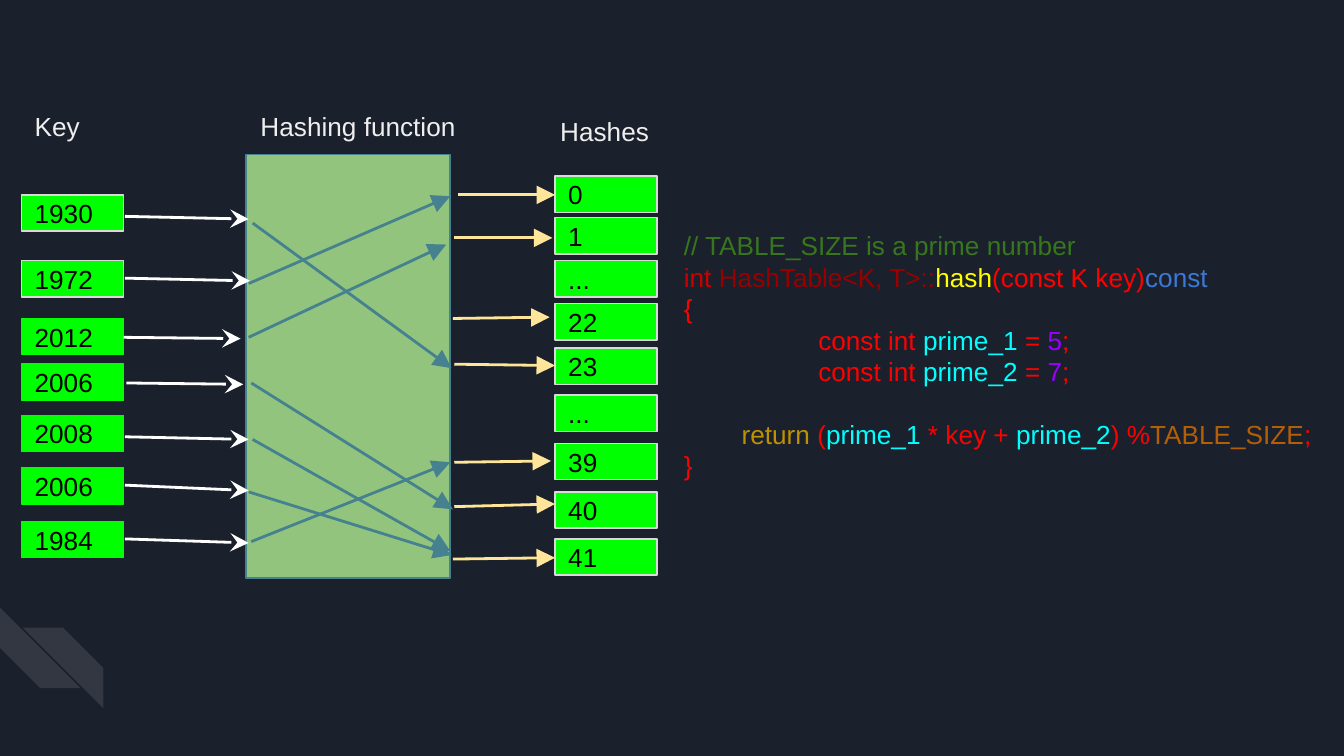
from lxml.etree import SubElement
from pptx import Presentation
from pptx.dml.color import RGBColor
from pptx.enum.shapes import MSO_CONNECTOR, MSO_SHAPE
from pptx.enum.text import MSO_ANCHOR, PP_ALIGN
from pptx.oxml.ns import qn
from pptx.util import Inches, Pt

DARK, WHITE, PALE, GREY = "1B212C", "FFFFFF", "EFEFEF", "D9D9D9"
GREEN, LEAF, TEAL, SAND = "00FF00", "93C47D", "45818E", "FFE599"
BRIGHT_RED, CYAN, PURPLE = "FF0000", "00FFFF", "9900FF"
CELL_WIDTH, CELL_HEIGHT = 0.76, 0.27

# (offset from the column top, label, border colour)
KEYS = [(0, "1930", GREY), (0.49, "1972", GREY), (0.92, "2012", GREEN),
        (1.26, "2006", GREEN), (1.64, "2008", GREEN), (2.03, "2006", GREEN),
        (2.43, "1984", GREEN)]
HASHES = [(0, "0", GREY), (0.31, "1", GREY), (0.63, "...", GREY),
          (0.95, "22", GREY), (1.28, "23", GREY), (1.63, "...", GREY),
          (1.99, "39", GREY), (2.35, "40", GREY), (2.70, "41", GREY)]

# (start x, start y, end x, end y) from the corner of the column or function box
KEY_ARROWS = [(0.77, 0.16, 1.69, 0.18), (0.77, 0.62, 1.70, 0.64),
              (0.76, 1.06, 1.63, 1.07), (0.78, 1.40, 1.65, 1.41),
              (0.77, 1.80, 1.69, 1.82), (0.77, 2.16, 1.69, 2.20),
              (0.77, 2.56, 1.69, 2.59)]
MAPPING_ARROWS = [(0.05, 0.51, 1.53, 1.59), (0.02, 0.96, 1.52, 0.31),
                  (0.02, 1.36, 1.49, 0.67), (0.04, 1.70, 1.54, 2.64),
                  (0.05, 2.12, 1.52, 2.95), (0.02, 2.51, 1.53, 2.98),
                  (0.04, 2.88, 1.52, 2.29)]
HASH_ARROWS = [(-0.72, 0.14, 0, 0.14), (-0.75, 0.46, -0.02, 0.46),
               (-0.76, 1.06, -0.04, 1.05), (-0.75, 1.40, 0, 1.41),
               (-0.75, 2.13, -0.03, 2.12), (-0.75, 2.46, 0, 2.44),
               (-0.76, 2.85, 0, 2.84)]


def prime_line(name, value):
    return 1, [("const int ", BRIGHT_RED), (f"{name} ", CYAN), ("= ", BRIGHT_RED),
               (value, PURPLE), (";", BRIGHT_RED)]


# (indent, runs) for each line of code
CODE = [
    (0, [("// TABLE_SIZE is a prime number", "38761D")]),
    (0, [("int ", "CC0000"), ("HashTable<K, T>::", "980000"), ("hash", "FFFF00"),
         ("(const K key)", BRIGHT_RED), ("const", "3C78D8")]),
    (0, [("{", BRIGHT_RED)]),
    prime_line("prime_1", "5"),
    prime_line("prime_2", "7"),
    (0.43, [("return ", "BF9000"), ("(", BRIGHT_RED), ("prime_1", CYAN),
            (" * key + ", BRIGHT_RED), ("prime_2", CYAN), (") %", BRIGHT_RED),
            ("TABLE_SIZE", "B45F06"), (";", BRIGHT_RED)]),
    (0, [("}", BRIGHT_RED)]),
]
RETURN_LINE = 5


def color(value):
    return RGBColor.from_string(value)


def prepare_frame(shape, anchor=MSO_ANCHOR.TOP):
    frame = shape.text_frame
    frame.word_wrap = True
    frame.vertical_anchor = anchor
    frame.margin_left = frame.margin_right = Inches(0.1)
    frame.margin_top = frame.margin_bottom = Inches(0.1)
    return frame


def add_run(paragraph, text, text_color):
    run = paragraph.add_run()
    run.text = text
    run.font.size = Pt(14)
    run.font.name = "Arial"
    run.font.color.rgb = color(text_color)


def add_box(slide, left, top, width, height, fill, border=None, kind=MSO_SHAPE.RECTANGLE):
    shape = slide.shapes.add_shape(
        kind, Inches(left), Inches(top), Inches(width), Inches(height))
    shape.shadow.inherit = False
    shape.fill.solid()
    shape.fill.fore_color.rgb = color(fill)
    if border:
        shape.line.color.rgb = color(border)
        shape.line.width = Pt(0.75)
    else:
        shape.line.fill.background()
    return shape


def add_title(slide, left, top, text):
    box = slide.shapes.add_textbox(Inches(left), Inches(top), Inches(2.57), Inches(0.41))
    add_run(prepare_frame(box).paragraphs[0], text, PALE)


def add_arrows(slide, left, top, arrows, line_color, head):
    for x1, y1, x2, y2 in arrows:
        arrow = slide.shapes.add_connector(
            MSO_CONNECTOR.STRAIGHT, Inches(left + x1), Inches(top + y1),
            Inches(left + x2), Inches(top + y2))
        arrow.line.color.rgb = color(line_color)
        arrow.line.width = Pt(1.5)
        SubElement(arrow.line._get_or_add_ln(), qn("a:tailEnd"),
                   type=head, w="lg", len="lg")
        SubElement(arrow._element.spPr, qn("a:effectLst"))


def add_column(slide, left, top, cells):
    for offset, label, border in cells:
        cell = add_box(slide, left, top + offset, CELL_WIDTH, CELL_HEIGHT, GREEN, border)
        paragraph = prepare_frame(cell, MSO_ANCHOR.MIDDLE).paragraphs[0]
        paragraph.alignment = PP_ALIGN.LEFT
        add_run(paragraph, label, "000000")


def add_code(slide, left, top, width, height):
    box = slide.shapes.add_textbox(Inches(left), Inches(top), Inches(width), Inches(height))
    frame = prepare_frame(box)
    for number, (indent, runs) in enumerate(CODE):
        paragraph = frame.add_paragraph() if number else frame.paragraphs[0]
        if number == RETURN_LINE:
            paragraph.space_before = Pt(16.8)
        if indent:
            properties = paragraph._p.get_or_add_pPr()
            properties.set("marL", str(Inches(indent)))
            properties.set("indent", "0")
        for text, text_color in runs:
            add_run(paragraph, text, text_color)


def add_corner_stripes(slide, left, top):
    stripes = [add_box(slide, left + x, top + y, 0.6, 0.6, WHITE, kind=MSO_SHAPE.DIAGONAL_STRIPE)
               for x, y in [(0, 0), (0.17, 0.15)]]
    for stripe in stripes:
        fill_color = stripe._element.spPr.find(qn("a:solidFill"))[0]
        SubElement(fill_color, qn("a:alpha"), val="10000")
    stripes[0].rotation = 270
    stripes[1]._element.spPr.find(qn("a:xfrm")).set("flipH", "1")


def main():
    presentation = Presentation()
    presentation.slide_width = Inches(10)
    presentation.slide_height = presentation.slide_width * 9 // 16
    slide = presentation.slides.add_slide(presentation.slide_layouts[6])
    slide.background.fill.solid()
    slide.background.fill.fore_color.rgb = color(DARK)

    add_corner_stripes(slide, 0, 4.52)
    add_code(slide, 4.99, 1.61, 4.96, 2.24)

    add_box(slide, 1.83, 1.15, 1.52, 3.15, LEAF, TEAL)
    add_column(slide, 0.16, 1.45, KEYS)
    add_column(slide, 4.13, 1.31, HASHES)

    add_arrows(slide, 0.16, 1.45, KEY_ARROWS, WHITE, "stealth")
    add_arrows(slide, 1.83, 1.15, MAPPING_ARROWS, TEAL, "triangle")
    add_arrows(slide, 4.13, 1.31, HASH_ARROWS, SAND, "triangle")

    add_title(slide, 0.16, 0.72, "Key")
    add_title(slide, 1.84, 0.72, "Hashing function")
    add_title(slide, 4.07, 0.76, "Hashes")
    presentation.save("out.pptx")


if __name__ == "__main__":
    main()
